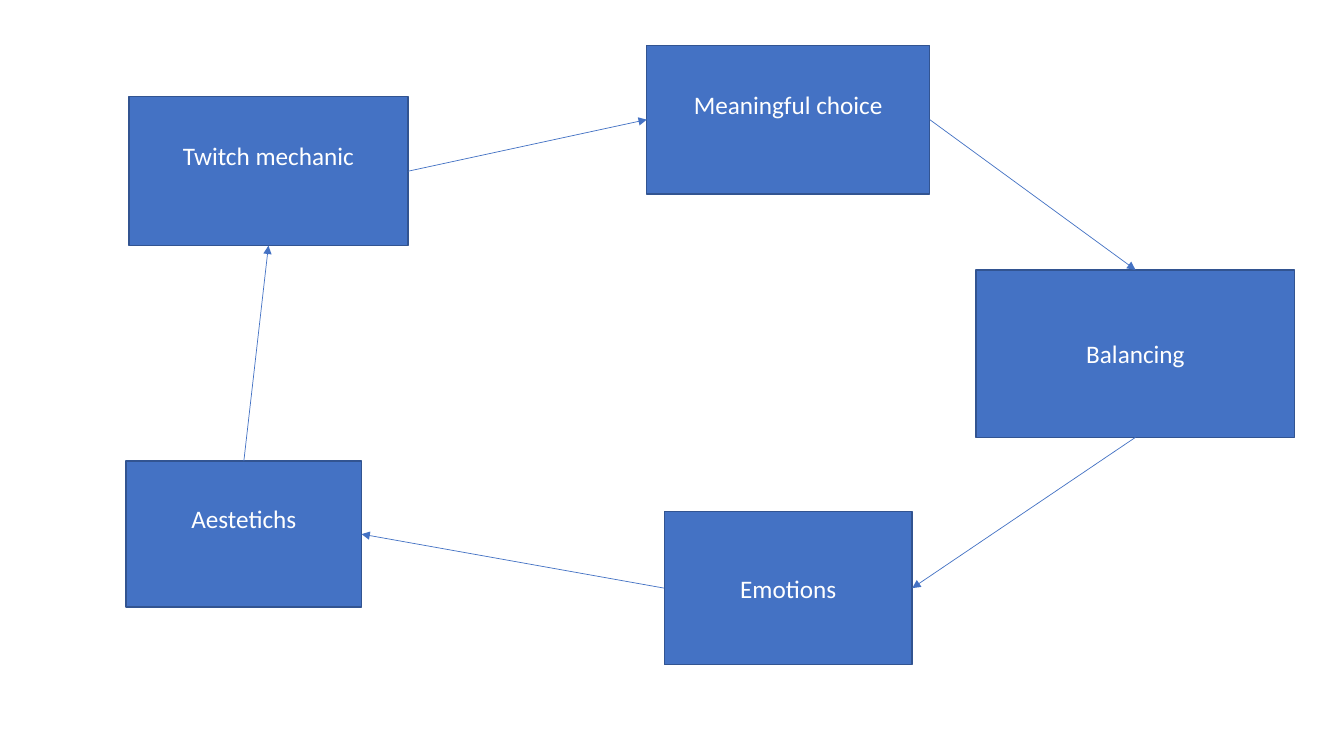
import pptx
import pptx.dml.color
import pptx.enum.shapes
import pptx.enum.text
import pptx.oxml.ns
import pptx.util
from lxml import etree

Cm = pptx.util.Cm
Pt = pptx.util.Pt
RGBColor = pptx.dml.color.RGBColor
qn = pptx.oxml.ns.qn

BLUE = RGBColor(0x44, 0x72, 0xC4)
DARK_BLUE = RGBColor(0x32, 0x54, 0x91)
WHITE = RGBColor(0xFF, 0xFF, 0xFF)

TOP, LEFT, BOTTOM, RIGHT = range(4)
RAISED = 0.9  # bottom inset in cm that lifts a label by half a line


def write_text(frame, text, *, font="Calibri", size=18, color=WHITE,
               align=pptx.enum.text.PP_ALIGN.CENTER):
    paragraph = frame.paragraphs[0]
    paragraph.alignment = align
    run = paragraph.add_run()
    run.text = text
    run.font.name = font
    run.font.size = Pt(size)
    run.font.color.rgb = color


class CycleSlide:
    """Holds the diagram style and the slide being drawn."""

    def __init__(self, slide, fill=BLUE, outline=DARK_BLUE):
        self.slide = slide
        self.fill = fill
        self.outline = outline

    def step(self, label, left, top, width, height, bottom_inset=0.13):
        box = self.slide.shapes.add_shape(
            pptx.enum.shapes.MSO_SHAPE.RECTANGLE,
            Cm(left), Cm(top), Cm(width), Cm(height))
        box.shadow.inherit = False
        box.fill.solid()
        box.fill.fore_color.rgb = self.fill
        box.line.color.rgb = self.outline
        box.line.width = Pt(1)
        frame = box.text_frame
        frame.word_wrap = True
        frame.vertical_anchor = pptx.enum.text.MSO_ANCHOR.MIDDLE
        frame.margin_bottom = Cm(bottom_inset)
        write_text(frame, label)
        return box

    def arrow(self, source, source_side, target, target_side):
        link = self.slide.shapes.add_connector(
            pptx.enum.shapes.MSO_CONNECTOR.STRAIGHT, 0, 0, 0, 0)
        link.begin_connect(source, source_side)
        link.end_connect(target, target_side)
        link.line.color.rgb = self.fill
        link.line.width = Pt(0.5)
        etree.SubElement(link.line._get_or_add_ln(), qn("a:tailEnd"), type="triangle")
        etree.SubElement(link._element.spPr, qn("a:effectLst"))


def main():
    deck = pptx.Presentation()
    deck.slide_width = Cm(33.87)
    deck.slide_height = Cm(19.05)
    cycle = CycleSlide(deck.slides.add_slide(deck.slide_layouts[6]))

    # Steps of the design cycle
    mechanic = cycle.step("Twitch mechanic", 3.25, 2.44, 7.03, 3.75, RAISED)
    choice = cycle.step("Meaningful choice", 16.3, 1.14, 7.13, 3.75, RAISED)
    balancing = cycle.step("Balancing", 24.6, 6.8, 8.03, 4.22)
    emotions = cycle.step("Emotions", 16.74, 12.89, 6.25, 3.86)
    aesthetics = cycle.step("Aestetichs", 3.18, 11.62, 5.93, 3.68, RAISED)

    # Arrows around the cycle
    for link in (
        (aesthetics, TOP, mechanic, BOTTOM),
        (mechanic, RIGHT, choice, LEFT),
        (choice, RIGHT, balancing, TOP),
        (balancing, BOTTOM, emotions, RIGHT),
        (emotions, LEFT, aesthetics, RIGHT),
    ):
        cycle.arrow(*link)

    deck.save("out.pptx")


if __name__ == "__main__":
    main()
